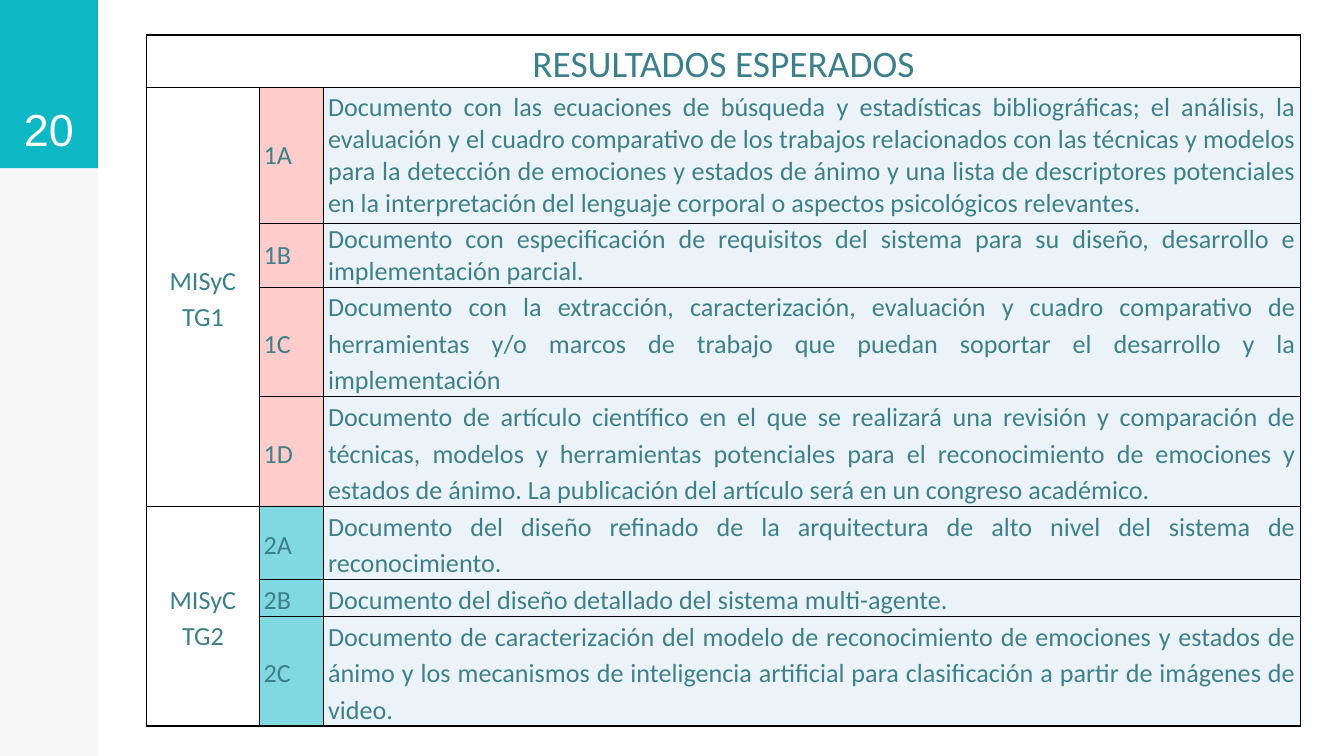
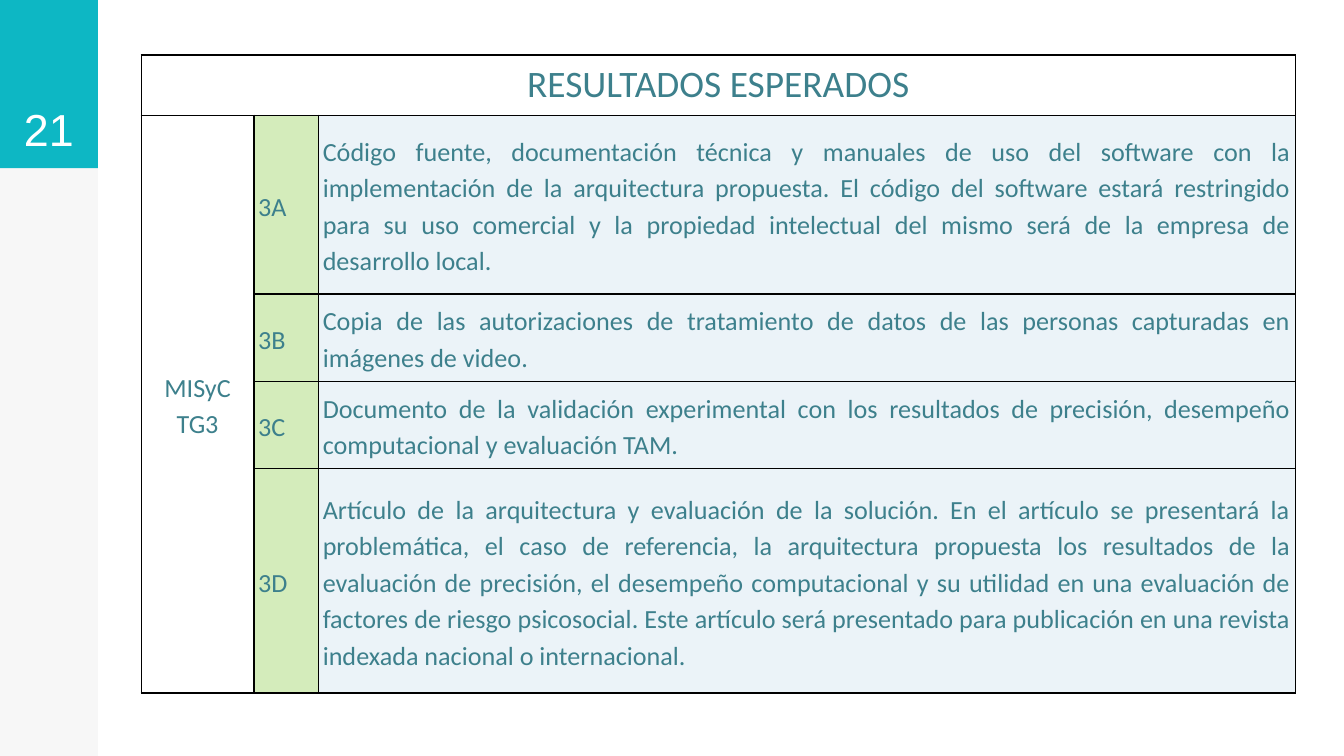
"""Build two slides that tabulate the expected results of each project stage."""
from lxml import etree
from pptx import Presentation
from pptx.dml.color import RGBColor
from pptx.enum import shapes, text
from pptx.oxml import ns
from pptx.util import Cm, Pt

TEAL, INK, WHITE, BLACK = "0DB7C4", "3D808C", "FFFFFF", "000000"
RED, GREEN, PALE = "FF0000", "92D050", "D6E6F2"
BAND_WIDTH, SLIDE_HEIGHT = 1.85, 14.29
COLUMN_WIDTHS = (2.13, 1.22, 18.46)
TITLE = "RESULTADOS ESPERADOS"

TG1 = ("MISyC TG1", RED, 20, [
    ("1A", 2.57, 1.0, "Documento con las ecuaciones de búsqueda y estadísticas bibliográficas; "
     "el análisis, la evaluación y el cuadro comparativo de los trabajos relacionados con las "
     "técnicas y modelos para la detección de emociones y estados de ánimo y una lista de "
     "descriptores potenciales en la interpretación del lenguaje corporal o aspectos "
     "psicológicos relevantes."),
    ("1B", 1.07, 1.0, "Documento con especificación de requisitos del sistema para su diseño, "
     "desarrollo e implementación parcial."),
    ("1C", 1.17, 1.15, "Documento con la extracción, caracterización, evaluación y cuadro "
     "comparativo de herramientas y/o marcos de trabajo que puedan soportar el desarrollo y la "
     "implementación"),
    ("1D", 1.78, 1.15, "Documento de artículo científico en el que se realizará una revisión y "
     "comparación de técnicas, modelos y herramientas potenciales para el reconocimiento de "
     "emociones y estados de ánimo. La publicación del artículo será en un congreso académico."),
])
TG2 = ("MISyC TG2", TEAL, 52, [
    ("2A", 1.12, 1.15, "Documento del diseño refinado de la arquitectura de alto nivel del "
     "sistema de reconocimiento."),
    ("2B", 0.61, 1.15, "Documento del diseño detallado del sistema multi-agente."),
    ("2C", 1.7, 1.15, "Documento de caracterización del modelo de reconocimiento de emociones y "
     "estados de ánimo y los mecanismos de inteligencia artificial para clasificación a partir "
     "de imágenes de video."),
])
TG3 = ("MISyC TG3", GREEN, 39, [
    ("3A", 3.38, 1.15, "Código fuente, documentación técnica y manuales de uso del software con "
     "la implementación de la arquitectura propuesta. El código del software estará restringido "
     "para su uso comercial y la propiedad intelectual del mismo será de la empresa de "
     "desarrollo local."),
    ("3B", 1.65, 1.15, "Copia de las autorizaciones de tratamiento de datos de las personas "
     "capturadas en imágenes de video."),
    ("3C", 1.65, 1.15, "Documento de la validación experimental con los resultados de precisión, "
     "desempeño computacional y evaluación TAM."),
    ("3D", 4.24, 1.15, "Artículo de la arquitectura y evaluación de la solución. En el artículo "
     "se presentará la problemática, el caso de referencia, la arquitectura propuesta los "
     "resultados de la evaluación de precisión, el desempeño computacional y su utilidad en una "
     "evaluación de factores de riesgo psicosocial. Este artículo será presentado para "
     "publicación en una revista indexada nacional o internacional."),
])


def rgb(color):
    """Turn a hex string into a colour."""
    return RGBColor.from_string(color)


def paint(fill, element, color, opacity=100):
    """Fill with a colour, see-through when opacity is under 100 percent."""
    fill.solid()
    fill.fore_color.rgb = rgb(color)
    if opacity < 100:
        clr = element.find(f".//{ns.qn('a:solidFill')}[last()]/{ns.qn('a:srgbClr')}")
        etree.SubElement(clr, ns.qn("a:alpha"), val=str(opacity * 1000))


def style(p, size, color, font, align):
    """Format a whole paragraph."""
    p.alignment = align
    p.font.size = Pt(size)
    p.font.name = font
    p.font.color.rgb = rgb(color)


def add_band(s, height, color, opacity=100):
    """Add a rectangle down from the top left corner."""
    sp = s.shapes.add_shape(shapes.MSO_SHAPE.RECTANGLE, 0, 0, Cm(BAND_WIDTH), Cm(height))
    sp.shadow.inherit = False
    sp.line.fill.background()
    paint(sp.fill, sp.element.spPr, color, opacity)
    return sp


def add_sidebar(s, number):
    """Add the grey side band and the teal tab with the page number."""
    add_band(s, SLIDE_HEIGHT, BLACK, 3)
    tf = add_band(s, 3.18, TEAL).text_frame
    tf.margin_left = tf.margin_right = tf.margin_top = tf.margin_bottom = Cm(0.25)
    tf.vertical_anchor = text.MSO_ANCHOR.BOTTOM
    p = tf.paragraphs[0]
    p.text = str(number)
    style(p, 24, WHITE, "Arial", text.PP_ALIGN.CENTER)


def prepare_cell(cell):
    """Give a cell its thin black borders, narrow margins and no fill."""
    tc_pr = cell._tc.get_or_add_tcPr()
    for side in "LRTB":
        ln = etree.SubElement(tc_pr, ns.qn(f"a:ln{side}"), w=str(Pt(0.75)))
        solid = etree.SubElement(ln, ns.qn("a:solidFill"))
        etree.SubElement(solid, ns.qn("a:srgbClr"), val=BLACK)
    cell.margin_left = cell.margin_right = Cm(0.08)
    cell.margin_top = cell.margin_bottom = 0
    cell.fill.background()


def write_cell(cell, words, align, size=14, spacing=1.15, anchor=text.MSO_ANCHOR.MIDDLE):
    """Write one paragraph in a cell."""
    cell.vertical_anchor = anchor
    p = cell.text_frame.paragraphs[0]
    p.text = words
    p.line_spacing = spacing
    p.space_after = Pt(6)
    style(p, size, INK, "Calibri", align)


def add_results(s, left, top, title_height, stages):
    """Add the table of results, with one merged label per stage."""
    heights = [title_height] + [result[1] for stage in stages for result in stage[3]]
    table = s.shapes.add_table(len(heights), 3, Cm(left), Cm(top),
                               Cm(sum(COLUMN_WIDTHS)), Cm(sum(heights))).table
    table.first_row = table.horz_banding = False
    for column, width in zip(table.columns, COLUMN_WIDTHS):
        column.width = Cm(width)
    for row, height in zip(table.rows, heights):
        row.height = Cm(height)
    for cell in table.iter_cells():
        prepare_cell(cell)

    center, justify = text.PP_ALIGN.CENTER, text.PP_ALIGN.JUSTIFY
    table.cell(0, 0).merge(table.cell(0, 2))
    write_cell(table.cell(0, 0), TITLE, center, size=20, anchor=text.MSO_ANCHOR.TOP)
    first = 1
    for name, color, opacity, results in stages:
        table.cell(first, 0).merge(table.cell(first + len(results) - 1, 0))
        write_cell(table.cell(first, 0), name, center)
        for i, (code, _, spacing, words) in enumerate(results, first):
            code_cell, result_cell = table.cell(i, 1), table.cell(i, 2)
            write_cell(code_cell, code, justify, spacing=spacing)
            write_cell(result_cell, words, justify, spacing=spacing)
            for cell, tint, alpha in ((code_cell, color, opacity), (result_cell, PALE, 47)):
                cell.fill.solid()
                cell.fill.fore_color.rgb = rgb(tint)
                clr = cell._tc.tcPr.find(f"{ns.qn('a:solidFill')}/{ns.qn('a:srgbClr')}")
                etree.SubElement(clr, ns.qn("a:alpha"), val=str(alpha * 1000))
        first += len(results)


def main():
    """Build and save the slides."""
    prs = Presentation()
    prs.slide_width, prs.slide_height = Cm(25.4), Cm(SLIDE_HEIGHT)
    pages = ((20, 2.77, 0.66, 0.56, (TG1, TG2)), (21, 2.67, 1.04, 1.14, (TG3,)))
    for number, left, top, title_height, stages in pages:
        s = prs.slides.add_slide(prs.slide_layouts[6])
        add_sidebar(s, number)
        add_results(s, left, top, title_height, stages)
    prs.save("out.pptx")


if __name__ == "__main__":
    main()
